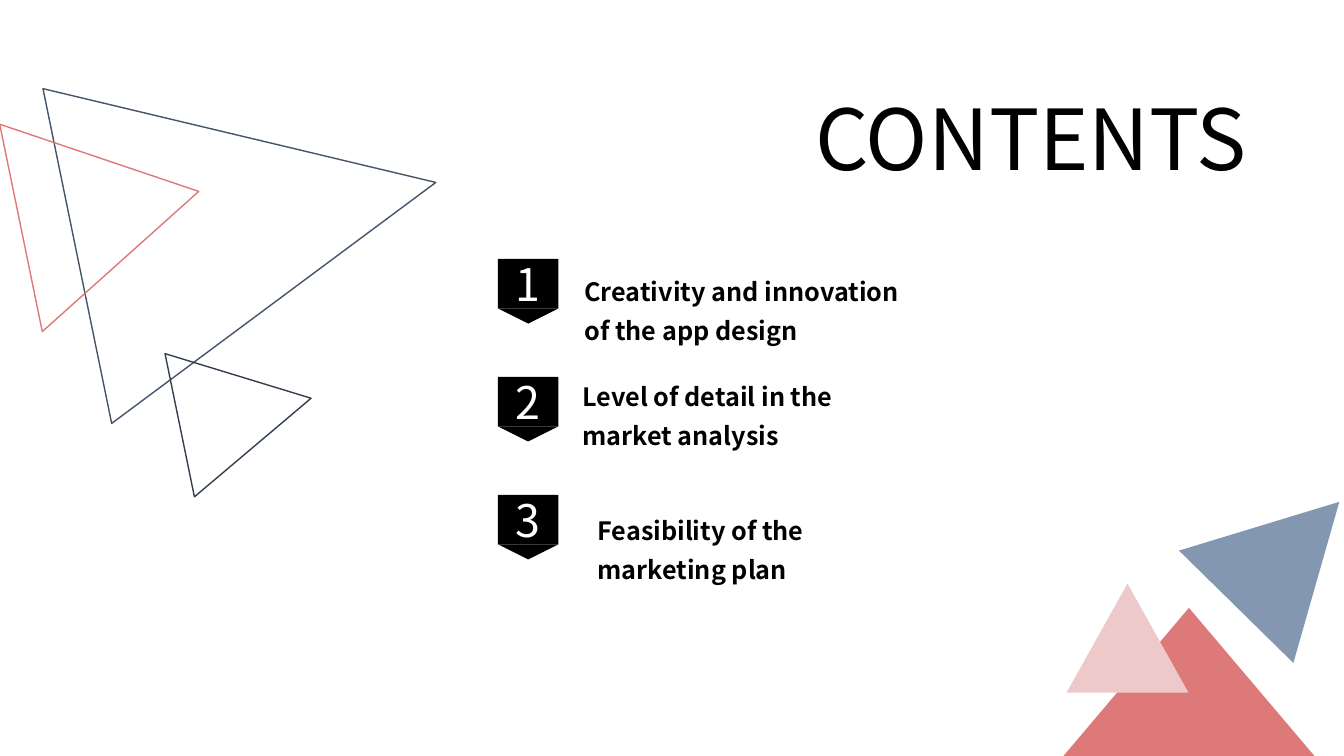
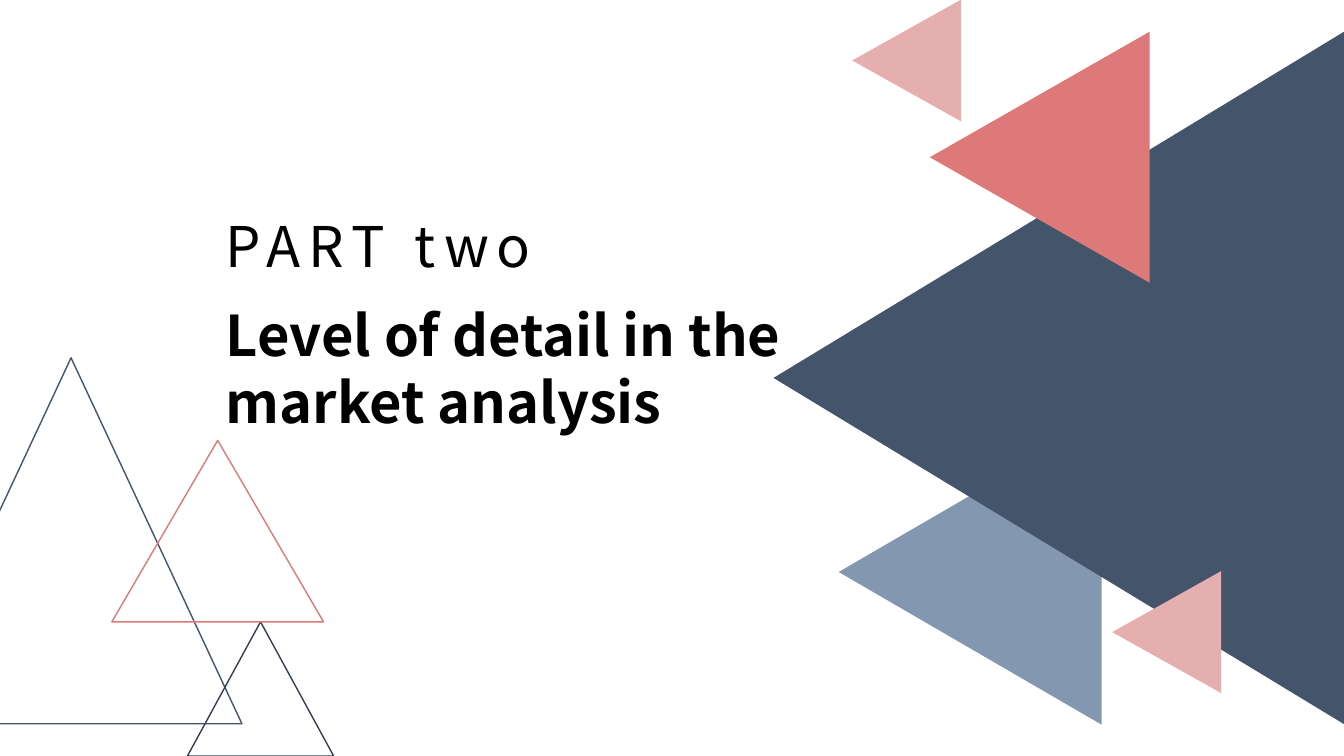
"""Build a contents slide and a section slide decorated with triangles."""
from pptx import Presentation
from pptx.dml.color import RGBColor
from pptx.enum.shapes import MSO_SHAPE
from pptx.enum.text import MSO_ANCHOR, MSO_AUTO_SIZE, PP_ALIGN
from pptx.util import Pt

TRI, RECT = MSO_SHAPE.ISOSCELES_TRIANGLE, MSO_SHAPE.RECTANGLE
MIDDLE, GROW = MSO_ANCHOR.MIDDLE, MSO_AUTO_SIZE.SHAPE_TO_FIT_TEXT
LEFT, CENTER = PP_ALIGN.LEFT, PP_ALIGN.CENTER

NAVY = RGBColor(0x44, 0x54, 0x6A)
DARK = RGBColor(0x33, 0x3F, 0x50)
STEEL = RGBColor(0x84, 0x97, 0xB0)
CORAL = RGBColor(0xDD, 0x79, 0x79)
PINK = RGBColor(0xE5, 0xAF, 0xAF)
PALE = RGBColor(0xED, 0xC9, 0xC9)
BLACK = RGBColor(0, 0, 0)
WHITE = RGBColor(255, 255, 255)

FONT = "Noto Sans CJK SC"
TITLE = {"size": Pt(60)}
ITEM = {"size": Pt(18), "bold": True}
NUMBER = {"size": Pt(32), "color": WHITE}
PART = {"size": Pt(40)}
HEAD = {"size": Pt(40), "bold": True}

SIZES = {NAVY: (244.1, 261.4), DARK: (104.4, 95.8), CORAL: (151.2, 129.6)}
TILT, TURN = 78.4, 270
TOP_WIRES = [(NAVY, 61.2, 25.9), (DARK, 123.1, 246.2), (CORAL, 2.9, 85)]
LOW_WIRES = [(NAVY, -71.3, 255.6), (DARK, 133.9, 444.2), (CORAL, 79.9, 314.6)]
CORNER = [
    (CORAL, (759.6, 434.2, 179.3, 105.8), 0),
    (PALE, (761.8, 416.9, 87.1, 77.8), 0),
    (STEEL, (862.6, 343.4, 114.5, 105.1), 44.5),
]
SIDE = [
    (STEEL, (583.9, 314.6, 218.2, 187.9), TURN),
    (NAVY, (509, 66.2, 494.6, 407.5), TURN),
    (CORAL, (653, 33.8, 179.3, 157), TURN),
    (PINK, (604.1, 4.3, 87.1, 77.8), TURN),
    (PINK, (789.8, 412.6, 87.1, 77.8), TURN),
]

ITEMS = [
    ("Creativity and innovation of the app design", 410.4, 187.2),
    ("Level of detail in the market analysis", 409, 262.1),
    ("Feasibility of the marketing plan", 419.8, 357.8),
]
BADGE_X, BADGE_Y, STEP = 355.7, 185, 84.25
BADGE_W, BADGE_H, TIP_H = 43.2, 35.3, 10.8


def shape(slide, kind, box, fill=None, line=None, turn=0):
    part = slide.shapes.add_shape(kind, *map(Pt, box))
    part.shadow.inherit = False
    part.rotation = turn
    if fill is None:
        part.fill.background()
    else:
        part.fill.solid()
        part.fill.fore_color.rgb = fill
    if line is None:
        part.line.fill.background()
    else:
        part.line.color.rgb = line
        part.line.width = Pt(1)
    return part


def write(frame, text, style, align=LEFT, lead=None, gap=None):
    para = frame.paragraphs[0]
    para.alignment = align
    if lead:
        para.line_spacing = lead
    run = para.add_run()
    run.text = text
    look = {"name": FONT, "color": BLACK, **style}
    run.font.color.rgb = look.pop("color")
    for key, value in look.items():
        setattr(run.font, key, value)
    if gap:
        run._r.get_or_add_rPr().set("spc", str(gap * 100))


def label(slide, box, text, style, inset=(7.2, 3.6), **rest):
    frame = slide.shapes.add_textbox(*map(Pt, box)).text_frame
    across, down = map(Pt, inset)
    form = {
        "word_wrap": True, "auto_size": GROW,
        "margin_left": across, "margin_right": across,
        "margin_top": down, "margin_bottom": down,
    }
    for key, value in form.items():
        setattr(frame, key, value)
    write(frame, text, style, **rest)


def wires(slide, spots, turn=0):
    for color, left, top in spots:
        shape(slide, TRI, (left, top, *SIZES[color]), line=color, turn=turn)


def solids(slide, parts):
    for color, box, turn in parts:
        shape(slide, TRI, box, fill=color, turn=turn)


def badge(slide, number, top):
    block = shape(slide, RECT, (BADGE_X, top, BADGE_W, BADGE_H), BLACK)
    block.text_frame.vertical_anchor = MIDDLE
    write(block.text_frame, str(number), NUMBER, CENTER)
    tip = (BADGE_X, top + BADGE_H, BADGE_W, TIP_H)
    shape(slide, TRI, tip, BLACK, turn=180)


def contents(slide):
    wires(slide, TOP_WIRES, TILT)
    solids(slide, CORNER)
    for row, (text, left, top) in enumerate(ITEMS):
        badge(slide, row + 1, BADGE_Y + row * STEP)
        label(slide, (left, top, 256.3, 64.1), text, ITEM, lead=1.3)
    label(slide, (550.1, 58.3, 372.2, 79.9), "CONTENTS", TITLE, align=CENTER)


def section(slide):
    solids(slide, SIDE)
    wires(slide, LOW_WIRES)
    inset = (9.4, 5)
    label(slide, (151.9, 209.5, 447.1, 154.8), ITEMS[1][0], HEAD, inset)
    label(slide, (151.9, 146.2, 328.3, 57.6), "PART two", PART, inset, gap=6)


def main():
    deck = Presentation()
    deck.slide_width, deck.slide_height = Pt(960), Pt(540)
    for build in (contents, section):
        build(deck.slides.add_slide(deck.slide_layouts[6]))
    deck.save("out.pptx")


if __name__ == "__main__":
    main()
